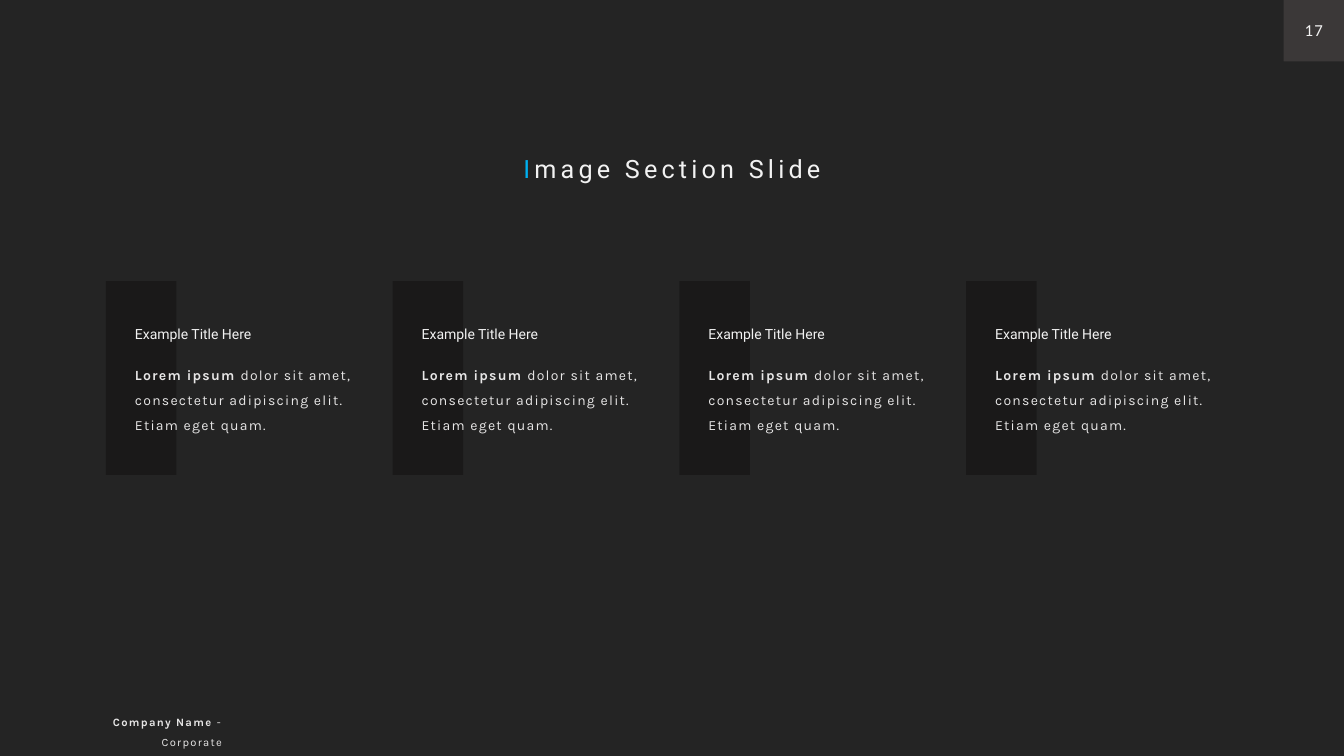
from dataclasses import dataclass

from lxml import etree
from pptx import Presentation
from pptx import util as u
from pptx.dml.color import RGBColor
from pptx.enum import shapes, text
from pptx.oxml import ns

LIGHT = "F2F2F2"
SOFT = "E7E6E6"


@dataclass
class Box:
    left: float
    top: float
    width: float
    height: float

    def lengths(self) -> list:
        return [u.Inches(n) for n in (self.left, self.top, self.width, self.height)]


@dataclass
class Style:
    font: str
    size: float
    letter_spacing: float = 0
    line_spacing: float = 1
    align: text.PP_ALIGN = text.PP_ALIGN.LEFT
    anchor: text.MSO_ANCHOR = text.MSO_ANCHOR.TOP
    wrap: bool = True


@dataclass
class Piece:
    words: str
    color: str
    bold: bool = False


HEADING = Style("Roboto", 18, 3, align=text.PP_ALIGN.CENTER)
CARD_TITLE = Style("Roboto", 10, anchor=text.MSO_ANCHOR.MIDDLE)
CARD_BODY = Style("Karla", 10, 0.9, 1.5)
FOOTER = Style("Karla", 8, 0.9, 1.5, text.PP_ALIGN.RIGHT)
PAGE_NUMBER = Style("Calibri", 12, 0.9, align=text.PP_ALIGN.CENTER,
                    anchor=text.MSO_ANCHOR.MIDDLE, wrap=False)


def rgb(color: str) -> RGBColor:
    return RGBColor.from_string(color)


def add_panel(slide, box: Box, color: str, opacity: int = 100) -> None:
    shape = slide.shapes.add_shape(shapes.MSO_SHAPE.RECTANGLE, *box.lengths())
    shape.shadow.inherit = False
    shape.line.fill.background()
    shape.fill.solid()
    shape.fill.fore_color.rgb = rgb(color)
    if opacity < 100:
        fill_color = shape.element.spPr.find(".//" + ns.qn("a:srgbClr"))
        etree.SubElement(fill_color, ns.qn("a:alpha"), val=str(opacity * 1000))


def add_text(slide, box: Box, style: Style, pieces: list[Piece]) -> None:
    text_frame = slide.shapes.add_textbox(*box.lengths()).text_frame
    text_frame.word_wrap = style.wrap
    text_frame.auto_size = text.MSO_AUTO_SIZE.SHAPE_TO_FIT_TEXT
    text_frame.vertical_anchor = style.anchor
    paragraph = text_frame.paragraphs[0]
    paragraph.alignment = style.align
    paragraph.line_spacing = style.line_spacing
    for piece in pieces:
        run = paragraph.add_run()
        run.text = piece.words
        run.font.name = style.font
        run.font.size = u.Pt(style.size)
        run.font.bold = piece.bold
        run.font.color.rgb = rgb(piece.color)
        if style.letter_spacing:
            run.font._element.set("spc", str(round(style.letter_spacing * 100)))


def add_card(slide, left: float) -> None:
    add_panel(slide, Box(left, 2.79, 0.7, 1.92), "181717", 80)
    add_text(slide, Box(left + 0.19, 3.5, 2.66, 0.57), CARD_BODY, [
        Piece("Lorem ipsum ", SOFT, True),
        Piece("dolor sit amet, consectetur adipiscing elit. Etiam eget quam.", SOFT),
    ])
    add_text(slide, Box(left + 0.19, 3.18, 2.31, 0.27), CARD_TITLE,
             [Piece("Example Title Here", LIGHT)])


def main() -> None:
    presentation = Presentation()
    presentation.slide_width = u.Inches(13.33)
    presentation.slide_height = u.Inches(7.5)
    slide = presentation.slides.add_slide(presentation.slide_layouts[6])
    slide.background.fill.solid()
    slide.background.fill.fore_color.rgb = rgb("242424")

    for column in range(4):
        add_card(slide, 1.05 + column * 2.844)

    add_text(slide, Box(3.31, 1.47, 6.71, 0.4), HEADING,
             [Piece("I", "00B0F0"), Piece("mage Section Slide", LIGHT)])
    add_panel(slide, Box(12.73, 0, 0.61, 0.61), "3B3838")
    add_text(slide, Box(12.83, 0.15, 0.4, 0.3), PAGE_NUMBER, [Piece("17", LIGHT)])
    add_text(slide, Box(0.47, 6.98, 1.83, 0.28), FOOTER,
             [Piece("Company Name ", SOFT, True), Piece("- Corporate", SOFT)])
    presentation.save("out.pptx")


if __name__ == "__main__":
    main()
